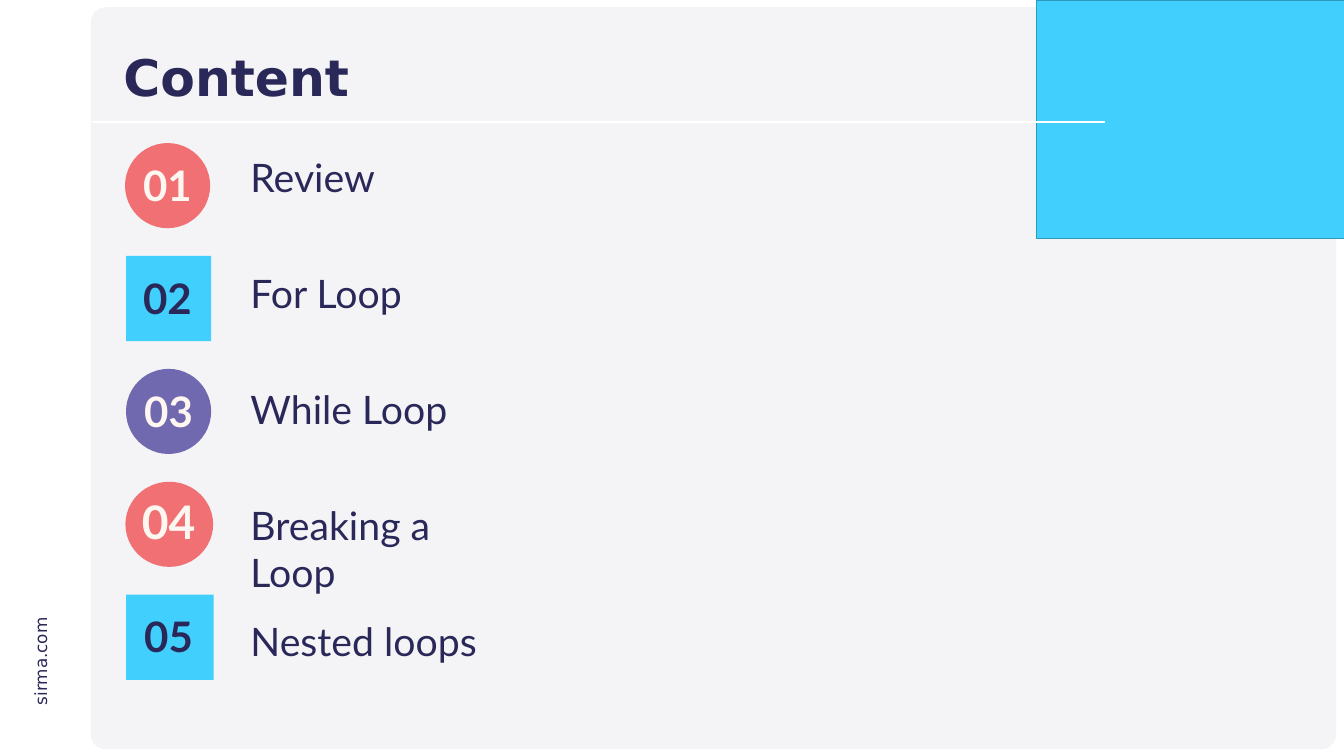
from collections import namedtuple
from dataclasses import dataclass

from lxml.etree import SubElement
from pptx import Presentation
from pptx.dml.color import RGBColor
from pptx.enum.shapes import MSO_CONNECTOR, MSO_SHAPE
from pptx.enum.text import MSO_ANCHOR, MSO_AUTO_SIZE, PP_ALIGN
from pptx.oxml.ns import qn
from pptx.util import Cm, Pt

Box = namedtuple("Box", "left top width height")
Topic = namedtuple("Topic", "label label_width shape fill ink badge_shift badge_width number_width number_size")


@dataclass(frozen=True)
class Theme:
    """Colours, fonts and type sizes of the slide."""
    navy: str = "2A2859"
    panel: str = "F4F4F7"
    sky: str = "41CFFD"
    sky_edge: str = "3099BB"
    coral: str = "F17073"
    violet: str = "7169B0"
    cream: str = "FEF6F0"
    white: str = "FFFFFF"
    heading_font: str = "DejaVu Sans"
    body_font: str = "Lato"
    title_size: int = 72
    label_size: int = 56
    number_size: int = 60
    large_number_size: int = 66
    site_size: int = 24


THEME = Theme()

TOPICS = [
    Topic("Review", 10.67, MSO_SHAPE.OVAL, THEME.coral, THEME.cream, 0.33, 4.29, 4.93, THEME.number_size),
    Topic("For Loop", 11.13, MSO_SHAPE.RECTANGLE, THEME.sky, THEME.navy, 0.38, 4.29, 4.93, THEME.number_size),
    Topic("While Loop", 13.34, MSO_SHAPE.OVAL, THEME.violet, THEME.cream, 0.38, 4.29, 5.05, THEME.number_size),
    Topic("Breaking a Loop", 13.34, MSO_SHAPE.OVAL, THEME.coral, THEME.cream, 0.35, 4.42, 5.05,
          THEME.large_number_size),
    Topic("Nested loops", 12.83, MSO_SHAPE.RECTANGLE, THEME.sky, THEME.navy, 0.38, 4.42, 5.05, THEME.number_size),
]


def set_all(target, values):
    """Set every attribute named in a dict of format values."""
    for name, value in values.items():
        setattr(target, name, value)


def lengths(box):
    """Return the sides of a box as slide lengths."""
    return [Cm(side) for side in box]


def add_block(page, shape_type, box, fill, edge=None):
    """Add a flat filled shape, with a thin outline if an edge colour is given."""
    block = page.shapes.add_shape(shape_type, *lengths(box))
    block.shadow.inherit = False
    block.fill.solid()
    block.fill.fore_color.rgb = RGBColor.from_string(fill)
    if edge:
        block.line.color.rgb = RGBColor.from_string(edge)
        block.line.width = Pt(1)
    else:
        block.line.fill.background()
    return block


def add_text(page, box, text, font, colour, frame_format=None, para_format=None):
    """Add a text box holding one paragraph and return it."""
    holder = page.shapes.add_textbox(*lengths(box))
    frame = holder.text_frame
    set_all(frame, {"word_wrap": True, "auto_size": MSO_AUTO_SIZE.SHAPE_TO_FIT_TEXT, **(frame_format or {})})
    para = frame.paragraphs[0]
    set_all(para, para_format or {})
    span = para.add_run()
    span.text = text
    set_all(span.font, font)
    span.font.color.rgb = RGBColor.from_string(colour)
    return holder


def add_backdrop(page, box):
    """Draw the rounded panel and the corner block that shares the slide's right edge."""
    panel = Box(box.left + 4.57, box.top + 0.36, 62.76, 37.41)
    add_block(page, MSO_SHAPE.ROUNDED_RECTANGLE, panel, THEME.panel).adjustments[0] = 0.021
    corner = Box(box.left + box.width - 15.5, box.top, 15.5, 12.01)
    add_block(page, MSO_SHAPE.RECTANGLE, corner, THEME.sky, THEME.sky_edge)


def add_site(page, box):
    """Write the web address upwards along the left margin."""
    site = add_text(page, box, "sirma.com", {"name": THEME.heading_font, "size": Pt(THEME.site_size)},
                    THEME.navy, {"word_wrap": False})
    site.rotation = 270


def add_header(page, box):
    """Place the title band, its white rule and the title."""
    add_block(page, MSO_SHAPE.RECTANGLE, Box(box.left, box.top, 46.58, box.height), THEME.panel)
    rule_top = box.top + 4.82
    rule = page.shapes.add_connector(
        MSO_CONNECTOR.STRAIGHT, Cm(box.left), Cm(rule_top), Cm(box.left + box.width), Cm(rule_top))
    rule.line.color.rgb = RGBColor.from_string(THEME.white)
    rule.line.width = Pt(3)
    SubElement(rule._element.spPr, qn("a:effectLst"))
    add_text(page, Box(box.left + 1.32, box.top + 0.68, 49.71, 4.01), "Content",
             {"name": THEME.heading_font, "size": Pt(THEME.title_size), "bold": True}, THEME.navy,
             {"auto_size": MSO_AUTO_SIZE.NONE, "vertical_anchor": MSO_ANCHOR.MIDDLE}, {"line_spacing": 0.9})


def add_badge(page, box, number, topic):
    """Place a coloured badge with its two-digit number."""
    badge = Box(box.left + topic.badge_shift, box.top, topic.badge_width, box.height)
    add_block(page, topic.shape, badge, topic.fill)
    text_height = 2.82 if topic.number_size == THEME.number_size else 3.07
    add_text(page, Box(box.left, box.top + 3.48 - text_height, topic.number_width, text_height), f"{number:02}",
             {"name": THEME.body_font, "size": Pt(topic.number_size), "bold": True}, topic.ink,
             {"vertical_anchor": MSO_ANCHOR.BOTTOM}, {"alignment": PP_ALIGN.CENTER})


def add_agenda(page, box):
    """List the topics, with badges and labels each on an even pitch."""
    badge_pitch, label_pitch = 5.69, 5.84
    for index, topic in enumerate(TOPICS):
        add_text(page, Box(box.left + 6.4, box.top + 0.41 + index * label_pitch, topic.label_width, 2.64),
                 topic.label, {"name": THEME.body_font, "size": Pt(THEME.label_size)}, THEME.navy)
        add_badge(page, Box(box.left, box.top + index * badge_pitch, box.width, 4.29), index + 1, topic)


def main():
    """Build the contents slide and save it."""
    deck = Presentation()
    set_all(deck, {"slide_width": Cm(67.72), "slide_height": Cm(38.1)})
    page = deck.slides.add_slide(deck.slide_layouts[6])
    add_backdrop(page, Box(0, 0, 67.72, 38.1))
    add_site(page, Box(-0.46, 32.66, 5, 1.27))
    add_header(page, Box(4.65, 1.35, 51.05, 6.05))
    add_agenda(page, Box(5.97, 7.21, 19.74, 27.05))
    deck.save("out.pptx")


if __name__ == "__main__":
    main()
